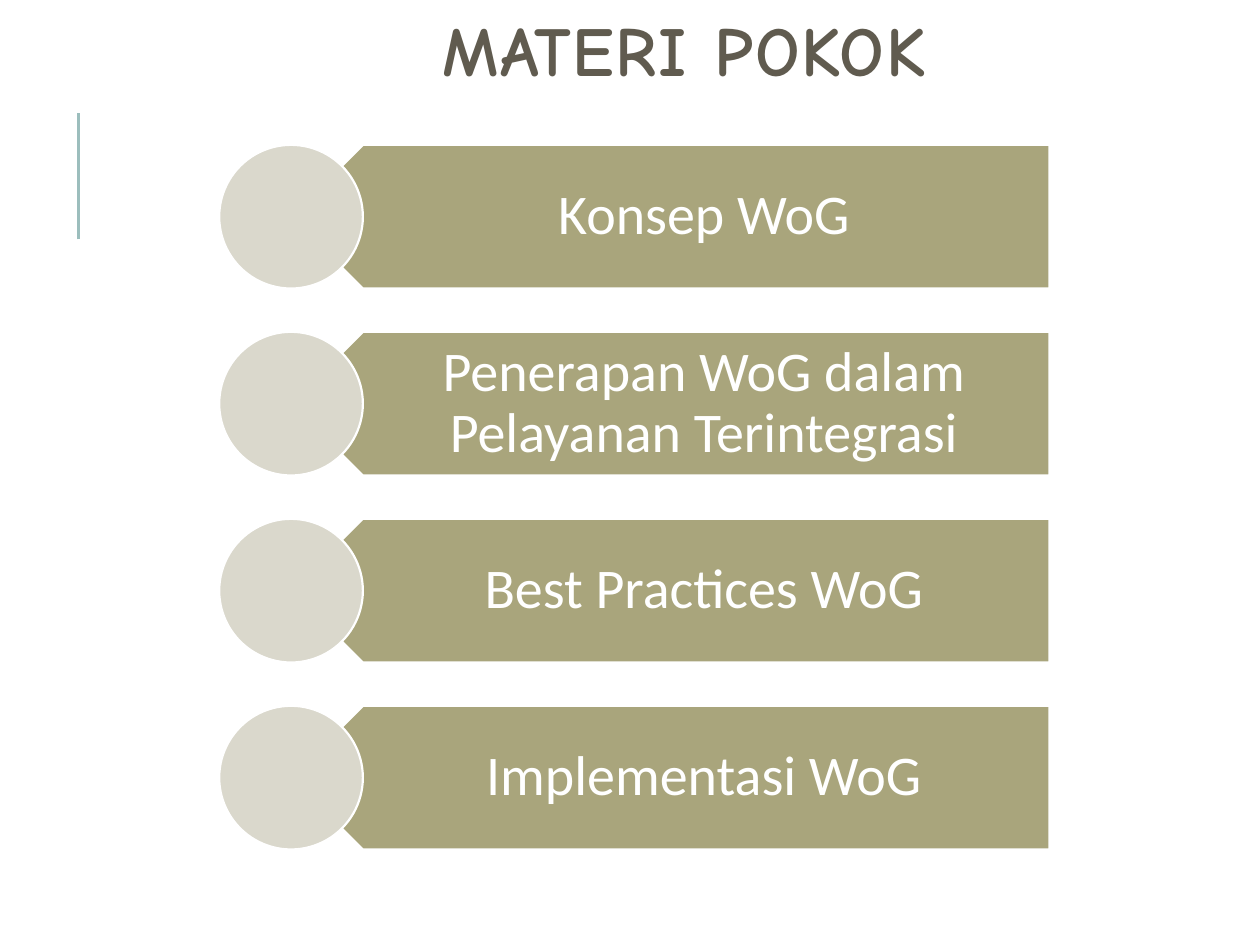
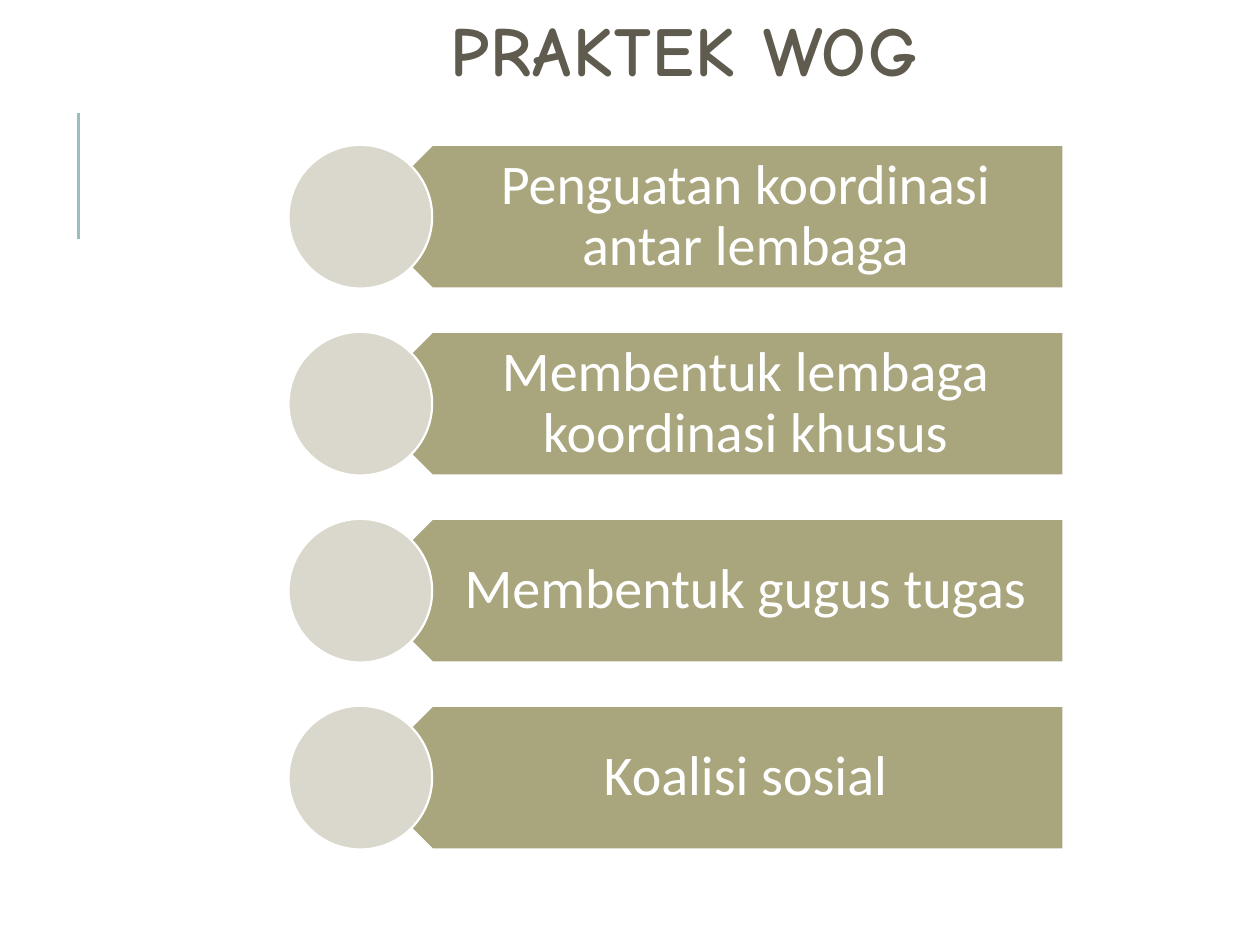
from lxml import etree
from pptx import Presentation
from pptx import util as u
from pptx.dml.color import RGBColor
from pptx.enum import shapes, text
from pptx.oxml.ns import qn

WIDTH, HEIGHT = 10, 7.5
OLIVE, SAND, WHITE = "A9A57C", "DAD8CC", "FFFFFF"
TITLE_COLOUR, RULE_COLOUR = "605B4F", "9CBEBD"
TOPICS = ["Konsep WoG", "Penerapan WoG dalam Pelayanan Terintegrasi",
          "Best Practices WoG", "Implementasi WoG"]
PRACTICES = ["Penguatan koordinasi antar lembaga", "Membentuk lembaga koordinasi khusus",
             "Membentuk gugus tugas", "Koalisi sosial"]
FIRST_ROW, ROW_STEP, DISC = 1.15, 1.484, 1.14


def colour(value):
    return RGBColor.from_string(value)


def inches(*lengths):
    return [u.Inches(length) for length in lengths]


def style_paragraph(para, font_name, size, font_colour, spacing, bold=False):
    para.alignment = text.PP_ALIGN.CENTER
    para.line_spacing = spacing
    para.font.name = font_name
    para.font.size = u.Pt(size)
    para.font.bold = bold
    para.font.color.rgb = colour(font_colour)


def add_title(page, wording):
    title = page.shapes.title
    title.left, title.top, title.width, title.height = inches(0.98, 0.14, 8.9, 0.61)
    frame = title.text_frame
    frame.auto_size = text.MSO_AUTO_SIZE.NONE
    frame.vertical_anchor = text.MSO_ANCHOR.MIDDLE
    para = frame.paragraphs[0]
    span = para.add_run()
    span.text = wording
    span._r.get_or_add_rPr().set("spc", "100")
    style_paragraph(para, "Comic Neue", 40, TITLE_COLOUR, 0.8, bold=True)


def add_side_rule(page):
    rule = page.shapes.add_connector(
        shapes.MSO_CONNECTOR.STRAIGHT,
        *inches(WIDTH / 16, 1.9, WIDTH / 16, HEIGHT * 0.12))
    rule.line.color.rgb = colour(RULE_COLOUR)
    rule.line.width = u.Pt(1.5)
    etree.SubElement(rule._element.spPr, qn("a:effectLst"))


def add_panel(group, kind, box, fill):
    panel = group.shapes.add_shape(kind, *inches(*box))
    panel.shadow.inherit = False
    panel.fill.solid()
    panel.fill.fore_color.rgb = colour(fill)
    panel.line.color.rgb = colour(WHITE)
    panel.line.width = u.Pt(1.25)
    return panel


def add_label(group, wording, box):
    label = group.shapes.add_textbox(*inches(*box))
    frame = label.text_frame
    frame.word_wrap = True
    frame.vertical_anchor = text.MSO_ANCHOR.MIDDLE
    frame.margin_left, frame.margin_right = inches(0.5, 0.25)
    frame.margin_top = frame.margin_bottom = u.Inches(0.13)
    para = frame.paragraphs[0]
    para.text = wording
    style_paragraph(para, "Calibri", 32, WHITE, 0.9)


def add_list(page, entries, left, right):
    group = page.shapes.add_group_shape()
    bar_left = left + DISC / 2
    label_left = bar_left + DISC / 4
    for row, wording in enumerate(entries):
        top = FIRST_ROW + row * ROW_STEP
        bar = add_panel(group, shapes.MSO_SHAPE.PENTAGON,
                        (bar_left, top, right - bar_left, DISC), OLIVE)
        bar.rotation = 180
        add_label(group, wording, (label_left, top, right - label_left, DISC))
        add_panel(group, shapes.MSO_SHAPE.OVAL, (left, top, DISC, DISC), SAND)


def add_page(deck, title, entries, left, right):
    page = deck.slides.add_slide(deck.slide_layouts.get_by_name("Title Only"))
    add_side_rule(page)
    add_list(page, entries, left, right)
    add_title(page, title)


def main():
    deck = Presentation()
    deck.slide_width, deck.slide_height = inches(WIDTH, HEIGHT)
    add_page(deck, "MATERI POKOK", TOPICS, 1.74, 8.33)
    add_page(deck, "PRAKTEK WOG", PRACTICES, 2.29, 8.44)
    deck.save("out.pptx")


if __name__ == "__main__":
    main()
